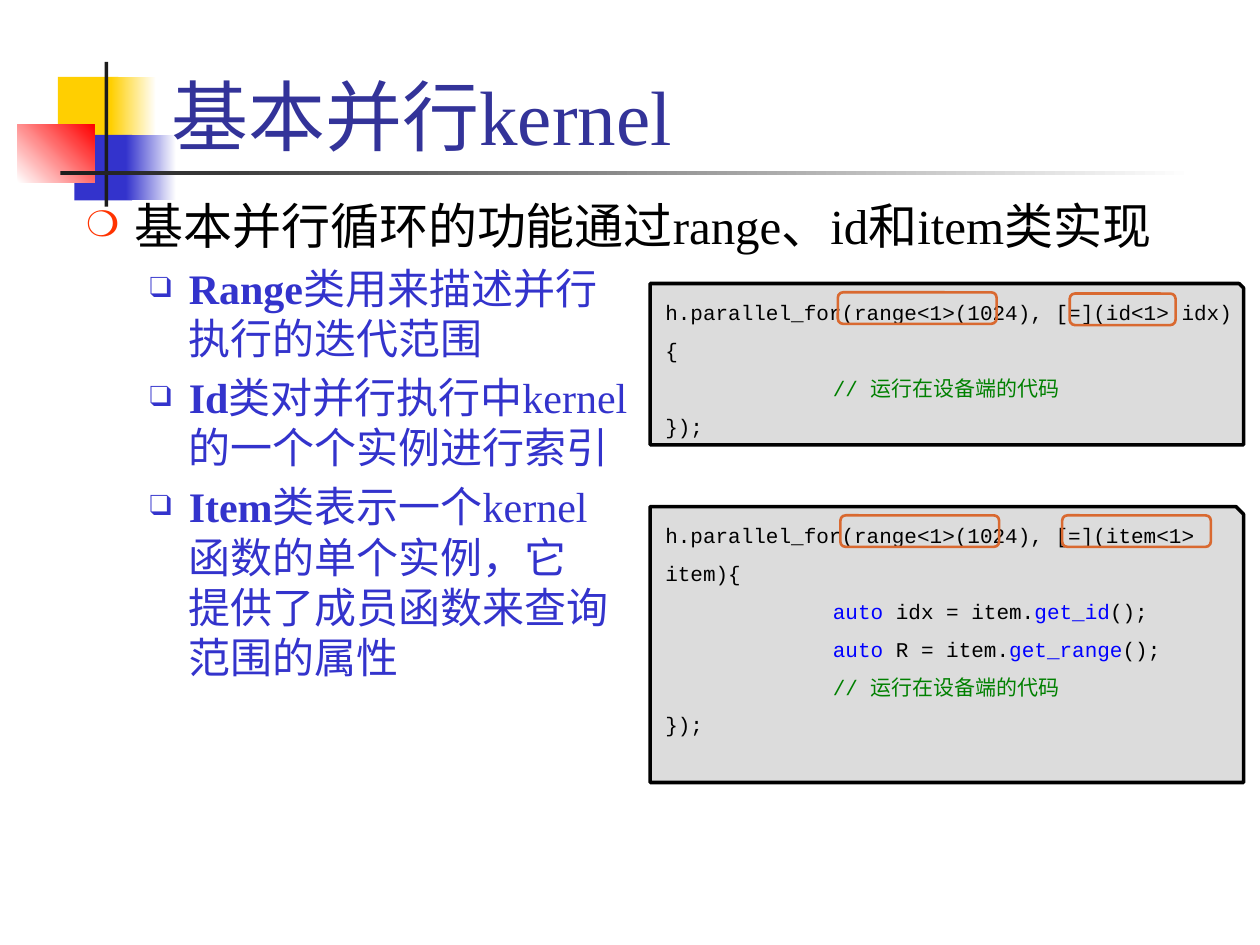
"""Build the slide on basic parallel kernels."""
from lxml.etree import SubElement
from pptx import Presentation
from pptx.dml.color import RGBColor
from pptx.enum.shapes import MSO_SHAPE
from pptx.enum.text import MSO_ANCHOR
from pptx.oxml.ns import qn
from pptx.util import Inches, Pt

YELLOW = RGBColor(0xFF, 0xCF, 0x01)
BLUE = RGBColor(0x33, 0x33, 0xCC)
RED = RGBColor(0xFF, 0x00, 0x00)
DARK = RGBColor(0x1C, 0x1C, 0x1C)
WHITE = RGBColor(0xFF, 0xFF, 0xFF)
BLACK = RGBColor(0x00, 0x00, 0x00)
NAVY = RGBColor(0x33, 0x33, 0x99)
ORANGE_RED = RGBColor(0xFF, 0x33, 0x00)
ORANGE = RGBColor(0xD9, 0x69, 0x30)
GREY = RGBColor(0xDC, 0xDC, 0xDC)
KEYWORD = RGBColor(0x00, 0x00, 0xFF)
COMMENT = RGBColor(0x00, 0x80, 0x00)
SERIF, MONO = "Times New Roman", "Courier New"

TITLE = "基本并行kernel"
LEAD = "基本并行循环的功能通过range、id和item类实现"
CLASSES = [
    ("Range", ["类用来描述并行", "执行的迭代范围"]),
    ("Id", ["类对并行执行中kernel", "的一个个实例进行索引"]),
    ("Item", ["类表示一个kernel", "函数的单个实例，它", "提供了成员函数来查询", "范围的属性"]),
]
COMMENT_LINE = [("\t// 运行在设备端的代码", COMMENT)]
END_LINE = [("});", BLACK)]
CODE_BOXES = [
    (2.25, 1.28, [
        [("h.parallel_for(range<1>(1024), [=](id<1> idx){", BLACK)],
        COMMENT_LINE,
        END_LINE,
    ]),
    (4.02, 2.19, [
        [("h.parallel_for(range<1>(1024), [=](item<1> item){", BLACK)],
        [("\tauto ", KEYWORD), ("idx = item.", BLACK), ("get_id", KEYWORD), ("();", BLACK)],
        [("\tauto", KEYWORD), (" R = item.", BLACK), ("get_range", KEYWORD), ("();", BLACK)],
        COMMENT_LINE,
        END_LINE,
    ]),
]
HIGHLIGHTS = [(6.65, 2.32, 1.26), (8.49, 2.33, 0.84), (6.67, 4.09, 1.26), (8.43, 4.09, 1.18)]
DECOR = [
    ((0.46, 0.61, 0.48, 0.52), [YELLOW], 0),
    ((0.88, 0.61, 0.36, 0.52), [YELLOW, WHITE], 0),
    ((0.59, 1.07, 0.46, 0.52), [BLUE], 0),
    ((1, 1.07, 0.4, 0.52), [BLUE, WHITE], 0),
    ((0.14, 0.99, 0.61, 0.46), [WHITE, RED], 45),
    ((0.83, 0.49, 0.03, 1.15), [DARK], 0),
    ((0.48, 1.36, 9, 0.03), [DARK, WHITE], 0),
]


def add_box(s, kind, at, colors=(), angle=0, line=None, width=0):
    sp = s.shapes.add_shape(kind, *map(Inches, at))
    sp.shadow.inherit = False
    if len(colors) == 2:
        sp.fill.gradient()
        sp.fill.gradient_angle = angle
        for stop, color, pos in zip(sp.fill.gradient_stops, colors, (0, 1)):
            stop.color.rgb = color
            stop.position = pos
    elif colors:
        sp.fill.solid()
        sp.fill.fore_color.rgb = colors[0]
    else:
        sp.fill.background()
    if line is None:
        sp.line.fill.background()
    else:
        sp.line.color.rgb = line
        sp.line.width = Pt(width)
    return sp


def add_text(s, *at):
    tf = s.shapes.add_textbox(*map(Inches, at)).text_frame
    tf.word_wrap = True
    return tf


def add_paragraph(tf, first):
    return tf.paragraphs[0] if first else tf.add_paragraph()


def add_run(p, text, size, color, font=SERIF, bold=False):
    r = p.add_run()
    r.text = text
    r.font.size = Pt(size)
    r.font.name = font
    r.font.bold = bold
    r.font.color.rgb = color


def set_bullet(p, char, color, percent, margin, indent):
    pPr = p._p.get_or_add_pPr()
    pPr.set("marL", str(Inches(margin)))
    pPr.set("indent", str(Inches(indent)))
    clr = SubElement(pPr, qn("a:buClr"))
    SubElement(clr, qn("a:srgbClr"), val=str(color))
    SubElement(pPr, qn("a:buSzPct"), val=str(percent * 1000))
    SubElement(pPr, qn("a:buFont"), typeface=SERIF)
    SubElement(pPr, qn("a:buChar"), char=char)


def add_code(s, top, height, lines):
    sp = add_box(s, MSO_SHAPE.SNIP_1_RECTANGLE, (5.16, top, 4.71, height), [GREY], line=BLACK, width=2)
    sp.adjustments[0] = 0.028
    tf = add_text(s, 5.28, top + 0.03, 4.59, 0.3 * len(lines))
    tf.margin_left = tf.margin_right = tf.margin_top = tf.margin_bottom = 0
    for i, line in enumerate(lines):
        p = add_paragraph(tf, i == 0)
        tabs = SubElement(p._p.get_or_add_pPr(), qn("a:tabLst"))
        SubElement(tabs, qn("a:tab"), pos=str(Inches(1.33)), algn="l")
        p.line_spacing = 1.5
        for text, color in line:
            add_run(p, text, 12, color, MONO)


def main():
    prs = Presentation()
    prs.slide_width, prs.slide_height = Inches(10), Inches(7.5)
    s = prs.slides.add_slide(prs.slide_layouts[6])

    for at, colors, angle in DECOR:
        add_box(s, MSO_SHAPE.RECTANGLE, at, colors, angle)

    tf = add_text(s, 1.26, 0.08, 8.52, 1.25)
    tf.vertical_anchor = MSO_ANCHOR.BOTTOM
    add_run(tf.paragraphs[0], TITLE, 44, NAVY)

    tf = add_text(s, 0.59, 1.5, 9.2, 5.17)
    tf.margin_right = 0
    p = tf.paragraphs[0]
    set_bullet(p, "❍", ORANGE_RED, 75, 0.38, -0.38)
    add_run(p, LEAD, 28, BLACK)
    for name, lines in CLASSES:
        p = tf.add_paragraph()
        set_bullet(p, "❑", BLUE, 69, 0.81, -0.31)
        p.level = 1
        p.space_before = Pt(4.8)
        add_run(p, name, 24, BLUE, bold=True)
        for i, line in enumerate(lines):
            if i:
                p.add_line_break()
            add_run(p, line, 24, BLUE)

    for top, height, lines in CODE_BOXES:
        add_code(s, top, height, lines)
    for left, top, width in HIGHLIGHTS:
        add_box(s, MSO_SHAPE.ROUNDED_RECTANGLE, (left, top, width, 0.25), line=ORANGE, width=1.5)

    prs.save("out.pptx")


if __name__ == "__main__":
    main()
